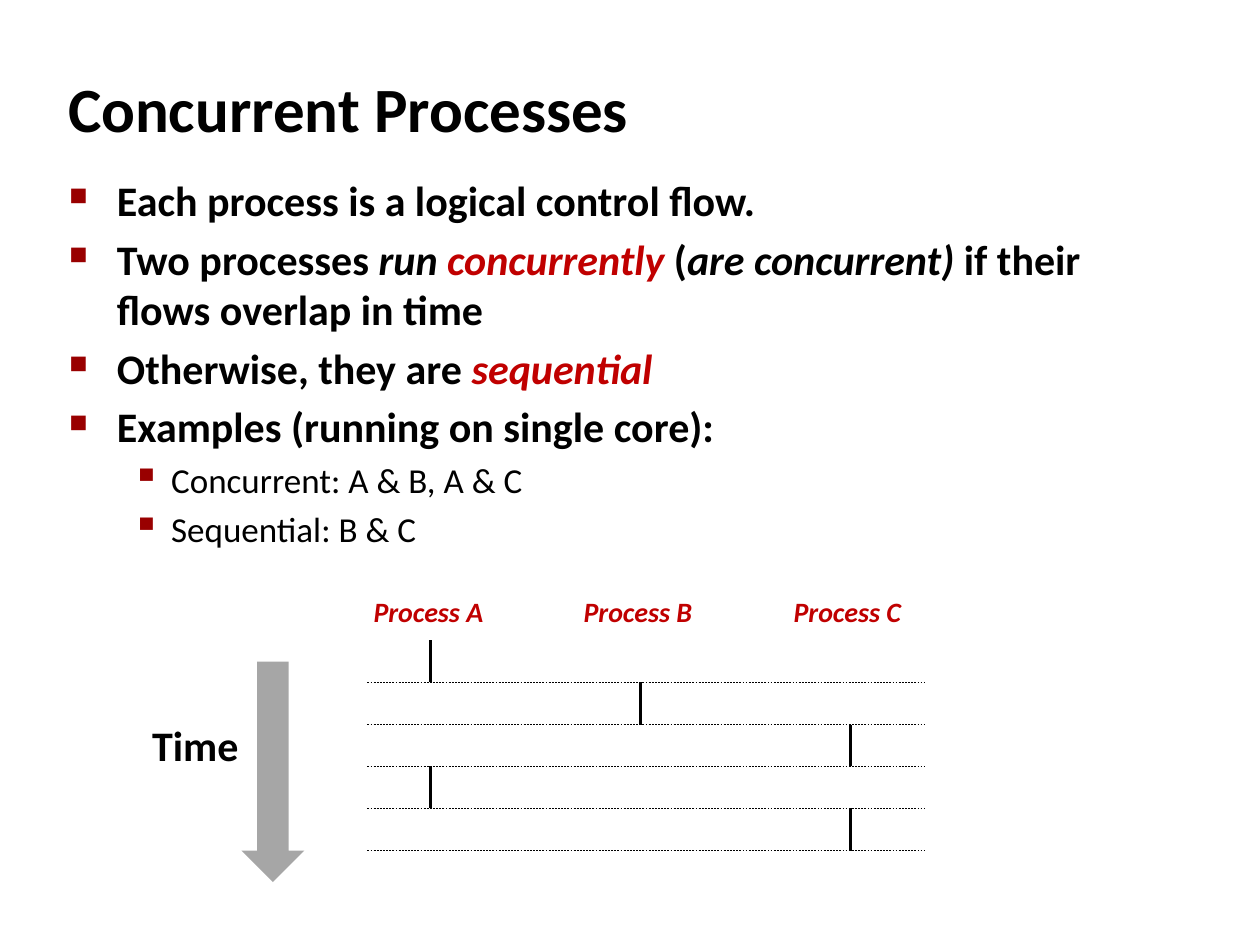
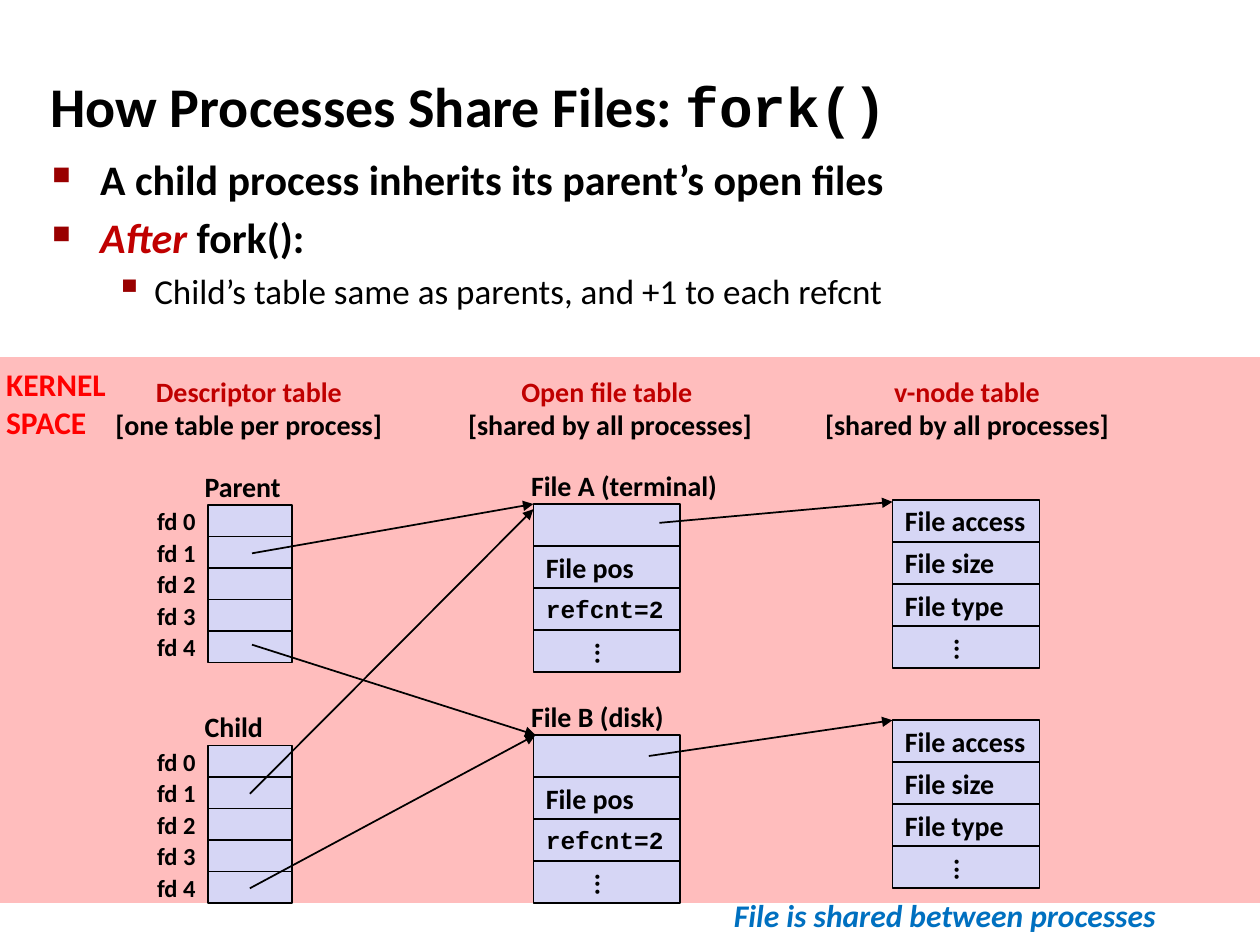
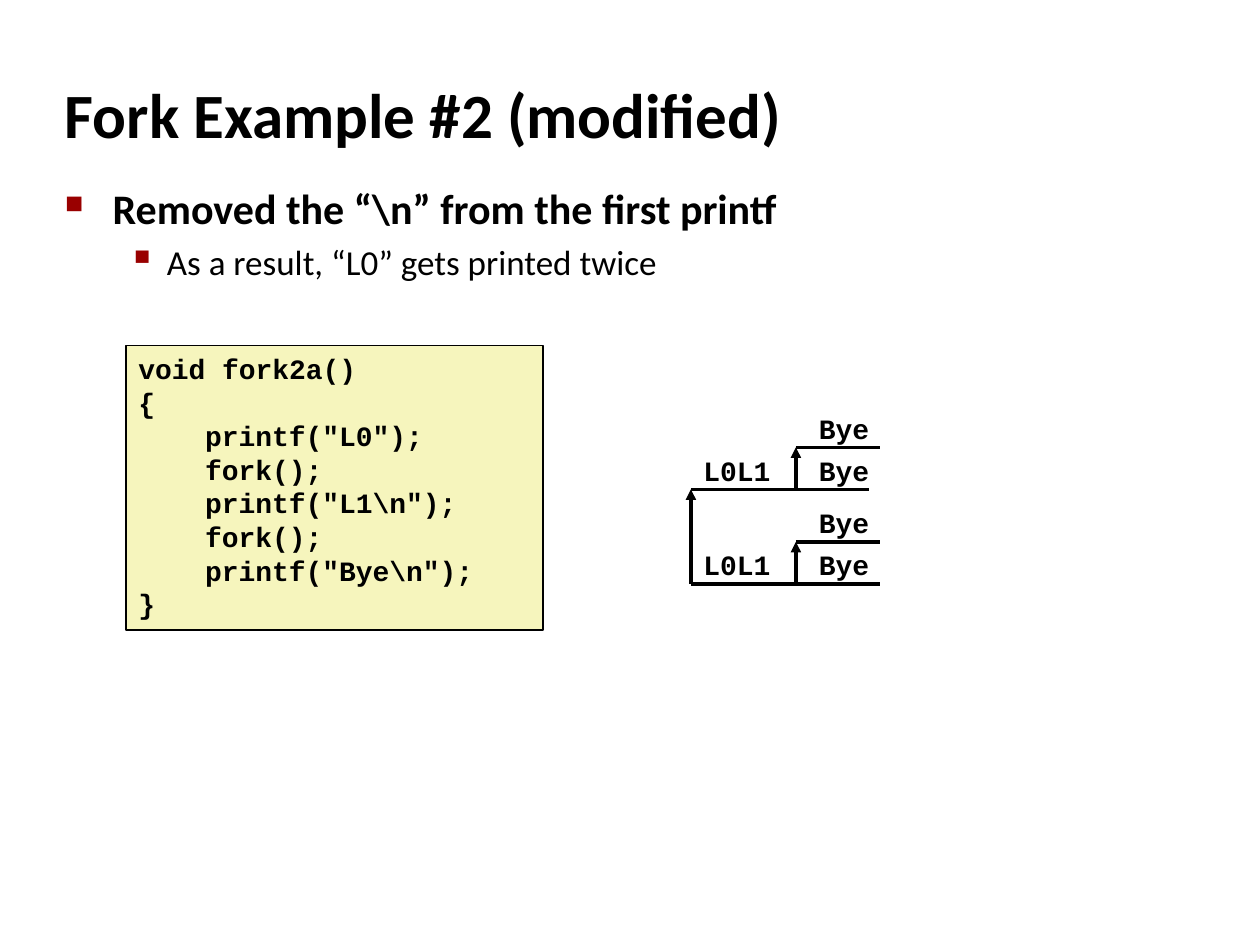
from dataclasses import dataclass

from lxml.etree import SubElement
from pptx import Presentation
from pptx.dml.color import RGBColor
from pptx.enum.dml import MSO_LINE_DASH_STYLE as Dash
from pptx.enum.shapes import MSO_CONNECTOR as Connector, MSO_SHAPE as Shape
from pptx.enum.text import MSO_ANCHOR as Anchor, PP_ALIGN as Align
from pptx.oxml.ns import qn
from pptx.util import Inches, Pt

COLUMNS, ROWS, CELLS_PER_INCH = 120, 90, 12
SANS, MONO = "Calibri", "Courier New"
BLACK, CRIMSON, RED, BLUE = "000000", "C00000", "FF0000", "0070C0"
BULLET_RED, LAVENDER, CREAM, GRAY = "990000", "D6D6F5", "F6F5BD", "A6A6A6"
PLAIN = dict(size=16, font=SANS, color=BLACK, bold=True, italic=False)
CODE = dict(font=MONO)
ACCENT = dict(color=CRIMSON, italic=True)
ITALIC = dict(italic=True)
BULLETS = [
    dict(mark="■", percent=60, margin=0.38, hanging=0.38, style=dict(size=24)),
    dict(mark="▪", percent=110, margin=0.81, hanging=0.31, style=dict(size=20, bold=False)),
]
FILE_ROWS = ["", "File pos", "refcnt=2", "..."]
NODE_ROWS = ["File access", "File size", "File type", "..."]


@dataclass
class Box:
    """A rectangle counted in grid columns and rows."""

    left: float
    top: float
    width: float
    height: float

    def inner(self, column, row, width, height):
        """Return a box placed relative to this one."""
        return Box(self.left + column, self.top + row, width, height)

    def lengths(self):
        """Return left, top, width and height as slide lengths."""
        return [grid(value) for value in (self.left, self.top, self.width, self.height)]


def grid(count):
    """Turn a count of grid cells into a length."""
    return Inches(count / CELLS_PER_INCH)


def rgb(value):
    """Turn a hex string into a colour."""
    return RGBColor.from_string(value)


def add_runs(paragraph, runs, style):
    """Add text and style pairs to a paragraph, over a shared style."""
    for text, changes in runs:
        look = {**PLAIN, **style, **changes}
        run = paragraph.add_run()
        run.text = text
        run.font.name = look["font"]
        run.font.size = Pt(look["size"])
        run.font.bold = look["bold"]
        run.font.italic = look["italic"]
        run.font.color.rgb = rgb(look["color"])


def write(shape, lines, style, align=Align.LEFT, anchor=Anchor.MIDDLE, wrap=True):
    """Fill a shape with lines of runs and return the paragraphs."""
    frame = shape.text_frame
    frame.word_wrap = wrap
    frame.vertical_anchor = anchor
    for number, runs in enumerate(lines):
        paragraph = frame.paragraphs[0] if number == 0 else frame.add_paragraph()
        paragraph.alignment = align
        add_runs(paragraph, runs, style)
    return frame.paragraphs


def add_text(slide, box, lines, style=PLAIN, **layout):
    """Add a text box."""
    return write(slide.shapes.add_textbox(*box.lengths()), lines, style, **layout)


def add_label(slide, box, text, style=PLAIN, **layout):
    """Add a text box that holds one run."""
    add_text(slide, box, [[(text, {})]], style, **layout)


def add_block(slide, box, fill, kind=Shape.RECTANGLE, outline=True):
    """Add a filled shape with or without a thin black outline."""
    shape = slide.shapes.add_shape(kind, *box.lengths())
    shape.shadow.inherit = False
    shape.fill.solid()
    shape.fill.fore_color.rgb = rgb(fill)
    if outline:
        shape.line.color.rgb = rgb(BLACK)
        shape.line.width = Pt(1)
    else:
        shape.line.fill.background()
    return shape


def add_line(slide, start, end, width, arrow=False, dash=None):
    """Add a black line between two grid points."""
    points = [grid(value) for value in (*start, *end)]
    line = slide.shapes.add_connector(Connector.STRAIGHT, *points)
    line.line.color.rgb = rgb(BLACK)
    line.line.width = Pt(width)
    if dash:
        line.line.dash_style = dash
    properties = line.element.spPr
    if arrow:
        SubElement(properties.find(qn("a:ln")), qn("a:tailEnd"), type="triangle")
    SubElement(properties, qn("a:effectLst"))


def add_title(slide, box, runs, size=36):
    """Add the slide title."""
    add_text(slide, box, [runs], dict(size=size))


def set_indent(paragraph, margin, first):
    """Set the left margin and first line indent in inches."""
    properties = paragraph._p.get_or_add_pPr()
    properties.set("marL", str(Inches(margin)))
    properties.set("indent", str(Inches(first)))
    return properties


def add_bullets(slide, box, items):
    """Add a two-level list from pairs of level and runs."""
    frame = slide.shapes.add_textbox(*box.lengths()).text_frame
    frame.word_wrap = True
    for number, (level, runs) in enumerate(items):
        bullet = BULLETS[level]
        paragraph = frame.paragraphs[0] if number == 0 else frame.add_paragraph()
        paragraph.level = level
        paragraph.space_before = Pt(bullet["style"]["size"] * 0.2)
        properties = set_indent(paragraph, bullet["margin"], -bullet["hanging"])
        color = SubElement(properties, qn("a:buClr"))
        SubElement(color, qn("a:srgbClr"), val=BULLET_RED)
        SubElement(properties, qn("a:buSzPct"), val=str(bullet["percent"] * 1000))
        SubElement(properties, qn("a:buChar"), char=bullet["mark"])
        add_runs(paragraph, runs, bullet["style"])


def add_timeline(slide, box):
    """Draw which process runs in each slice of time."""
    step, spacing = 4, 20
    for number, name in enumerate("ABC"):
        label = box.inner(number * spacing - 0.6, -5, 15, 4.4)
        add_label(slide, label, f"Process {name}", ACCENT, anchor=Anchor.TOP)
    for number, process in enumerate([0, 1, 2, 0, 2]):
        column = box.left + 6 + process * spacing
        top = box.top + number * step
        bottom = top + step
        add_line(slide, (column, top), (column, bottom), 2)
        add_line(slide, (box.left, bottom), (box.left + box.width, bottom), 0.25, dash=Dash.DASH)


def add_time_arrow(slide, box):
    """Draw the arrow of time and its label."""
    add_label(slide, box.inner(-9.7, 4.9, 10.7, 6), "Time", dict(size=24), anchor=Anchor.TOP)
    add_block(slide, box, GRAY, Shape.DOWN_ARROW, outline=False)


def add_stack(slide, box, rows):
    """Draw equal cells from top to bottom."""
    height = box.height / len(rows)
    for number, text in enumerate(rows):
        cell = add_block(slide, box.inner(0, number * height, box.width, height), LAVENDER)
        if text:
            style = dict(size=14, font=MONO) if text.startswith("refcnt") else PLAIN
            write(cell, [[(text, {})]], style, wrap=False)
        if text == "...":
            cell.element.find(".//" + qn("a:bodyPr")).set("vert", "eaVert")


def add_descriptors(slide, box, owner):
    """Draw the descriptor table of one process."""
    count = 5
    height = box.height / count
    add_label(slide, box.inner(-1.5, -4, 12, 4.4), owner)
    add_stack(slide, box, [""] * count)
    for number in range(count):
        label = box.inner(-8, number * height, 8, height)
        add_label(slide, label, f"fd {number}", dict(size=14), align=Align.RIGHT)


def add_open_file(slide, box, name):
    """Draw one entry of the open file table."""
    add_label(slide, box.inner(-1.4, -4, 24, 4.4), name)
    add_stack(slide, box, FILE_ROWS)


def add_table_headings(slide, box):
    """Write the headings of the three kernel tables."""
    headings = [
        (23.7, "Descriptor table", "[one table per process]"),
        (58.1, "Open file table ", "[shared by all processes]"),
        (92.1, "v-node table", "[shared by all processes]"),
    ]
    for center, name, scope in headings:
        lines = [[(name, dict(color=CRIMSON))], [(scope, {})]]
        add_text(slide, box.inner(center - 17, 1, 34, 7.7), lines, align=Align.CENTER)


def add_kernel_band(slide, box):
    """Draw the translucent kernel space with its label."""
    band = add_block(slide, box, RED, outline=False)
    color = next(band.element.spPr.iter(qn("a:srgbClr")))
    SubElement(color, qn("a:alpha"), val="26000")
    add_label(slide, box.inner(-0.6, 0.2, 12.4, 8.5), "KERNEL SPACE",
              dict(size=18, color=RED), anchor=Anchor.TOP)
    add_table_headings(slide, box)


def add_code(slide, box, lines):
    """Draw a code listing from pairs of depth and text."""
    listing = add_block(slide, box, CREAM)
    paragraphs = write(listing, [[(text, {})] for _, text in lines], CODE, anchor=Anchor.TOP)
    for paragraph, (depth, _) in zip(paragraphs, lines):
        if depth:
            set_indent(paragraph, depth * 0.53, 0)


def add_fork_branch(slide, box, end):
    """Draw one process that prints, then forks once more."""
    bottom, fork = box.top + box.height, box.left + 10
    add_line(slide, (box.left, bottom), (box.left + end, bottom), 2)
    add_line(slide, (fork, bottom), (fork, box.top), 2, arrow=True)
    add_line(slide, (fork, box.top), (box.left + box.width, box.top), 2)
    labels = [(0, box.height, "L0L1"), (11, box.height, "Bye"), (11, 0, "Bye")]
    for column, row, text in labels:
        add_label(slide, box.inner(column, row - 4, 10, 4.4), text, CODE, anchor=Anchor.TOP)


def concurrent_slide(slide):
    """Build the slide on concurrent processes."""
    add_title(slide, Box(5.3, 6.5, 80, 7.5), [("Concurrent Processes", {})])
    add_bullets(slide, Box(5.4, 16, 103.7, 34), [
        (0, [("Each process is a logical control flow.", {})]),
        (0, [("Two processes ", {}), ("run ", ITALIC), ("concurrently", ACCENT), (" (", {}),
             ("are concurrent)", ITALIC), (" if their flows overlap in time", {})]),
        (0, [("Otherwise, they are ", {}), ("sequential", ACCENT)]),
        (0, [("Examples (running on single core):", {})]),
        (1, [("Concurrent: A & B, A & C", {})]),
        (1, [("Sequential: B & C", {})]),
    ])
    add_timeline(slide, Box(35, 61, 53, 20))
    add_time_arrow(slide, Box(23, 63, 6, 21))


def sharing_slide(slide):
    """Build the slide on files shared after a fork."""
    add_kernel_band(slide, Box(0, 34, COLUMNS, 52))
    add_title(slide, Box(3.6, 5, 99.6, 10),
              [("How Processes Share Files: ", {}), ("fork()", CODE)], 32)
    add_bullets(slide, Box(3.8, 14, 109, 17), [
        (0, [("A child process inherits its parent’s open files", {})]),
        (0, [("After", ACCENT), (" fork():", {})]),
        (1, [("Child’s table same as parents, and +1 to each refcnt", {})]),
    ])
    for owner, top in [("Parent", 48.1), ("Child", 71)]:
        add_descriptors(slide, Box(19.8, top, 8, 15), owner)
    for name, top in [("File A (terminal)", 48), ("File B (disk)", 70)]:
        add_open_file(slide, Box(50.8, top, 14, 16), name)
    for top in (47.6, 68.6):
        add_stack(slide, Box(85, top, 14, 16), NODE_ROWS)
    arrows = [
        ((24, 52.7), (50.8, 48)), ((24, 61.4), (51, 70)),
        ((23.8, 75.6), (50.8, 48.5)), ((23.8, 84.6), (51, 70)),
        ((62.8, 49.8), (85, 47.8)), ((61.8, 72), (85, 68.6)),
    ]
    for start, end in arrows:
        add_line(slide, start, end, 1, arrow=True)
    add_label(slide, Box(66, 84.7, 48, 4.8), "File is shared between processes",
              dict(size=18, color=BLUE, italic=True), align=Align.CENTER)


def fork_slide(slide):
    """Build the slide on the modified fork example."""
    add_title(slide, Box(5, 7, 86, 7.5), [("Fork Example #2 (modified)", {})])
    add_bullets(slide, Box(5, 16.8, 103.7, 16.2), [
        (0, [("Removed the “\\n” from the first printf", {})]),
        (1, [("As a result, “L0” gets printed twice", {})]),
    ])
    add_code(slide, Box(12, 32.9, 39.7, 27.1), [
        (0, "void fork2a()"), (0, "{"),
        (1, 'printf("L0");'), (1, "fork();"),
        (1, 'printf("L1\\n");'), (1, "fork();"),
        (1, 'printf("Bye\\n");'), (0, "}"),
    ])
    add_line(slide, (65.8, 55.6), (65.8, 46.6), 2, arrow=True)
    for top, end in [(42.6, 17), (51.6, 18)]:
        add_fork_branch(slide, Box(65.8, top, 18, 4), end)


def main():
    """Build the presentation and save it."""
    presentation = Presentation()
    presentation.slide_width = grid(COLUMNS)
    presentation.slide_height = grid(ROWS)
    blank = presentation.slide_layouts[6]
    for build in (concurrent_slide, sharing_slide, fork_slide):
        build(presentation.slides.add_slide(blank))
    presentation.save("out.pptx")


if __name__ == "__main__":
    main()
